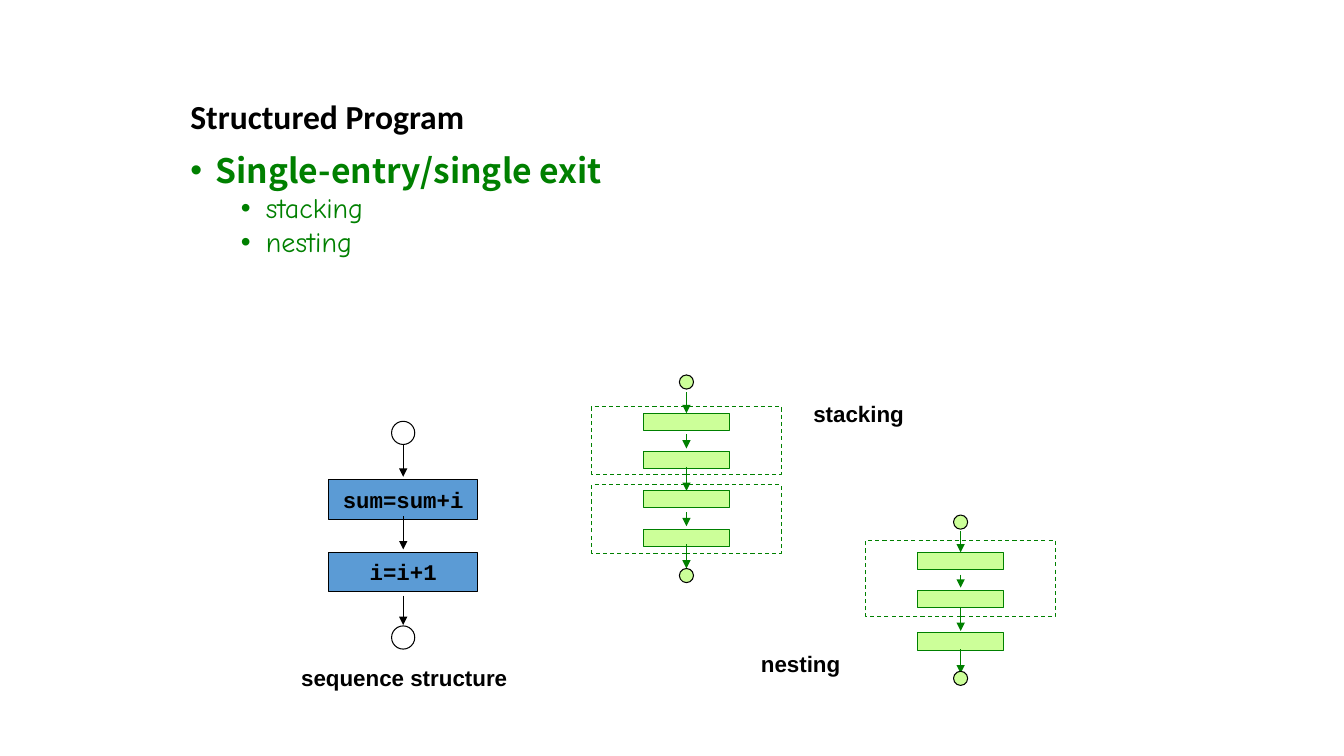
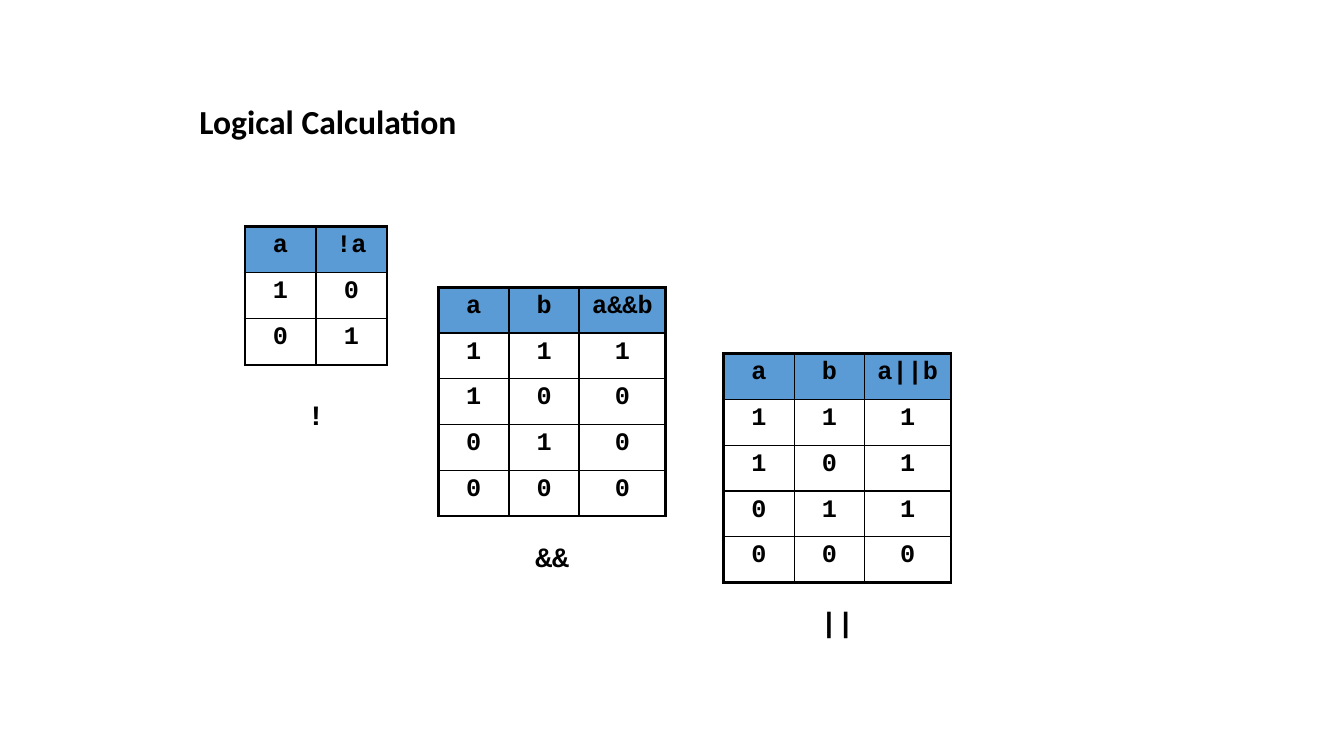
from dataclasses import dataclass

import pptx
import pptx.dml.color
import pptx.enum.dml
import pptx.enum.shapes
import pptx.enum.text
import pptx.oxml.ns
import pptx.util
from lxml import etree

SHAPE = pptx.enum.shapes.MSO_SHAPE
ALIGN = pptx.enum.text.PP_ALIGN
ANCHOR = pptx.enum.text.MSO_ANCHOR
COLUMNS, ROWS = 133.33, 75  # grid of tenths of an inch


@dataclass(frozen=True)
class Face:
    name: str
    size: int
    color: str = "000000"
    bold: bool = True


class Theme:
    black, green, lime, blue = "000000", "008000", "CCFF99", "5B9BD5"
    thin, outer, inner = 0.75, 2.25, 1
    title = Face("Calibri", 24)
    bullet = Face("Noto Sans CJK SC", 24, green)
    sub_bullet = Face("Comic Neue", 20, green, False)
    label = Face("Arial", 16)
    step = Face("Courier New", 16)
    cell = Face("Courier New", 18)
    operator = Face("Courier New", 20)


@dataclass(frozen=True)
class FlowStyle:
    """Size and colours of one kind of flow chart, in grid cells."""
    width: float
    step_width: float
    step_height: float
    dot: float
    line: str
    step_fill: str
    dot_fill: str | None = None


WIDE = FlowStyle(14.8, 14.8, 3.9, 2.3, Theme.black, Theme.blue)
SMALL = FlowStyle(18.8, 8.5, 1.7, 1.4, Theme.green, Theme.lime, Theme.lime)


def grid(*cells):
    return [pptx.util.Inches(cell / 10) for cell in cells]


def rgb(color):
    return pptx.dml.color.RGBColor.from_string(color)


def apply(target, values):
    for name, value in values.items():
        setattr(target, name, value)


def write(para, text, face, **format_values):
    para.text = text
    apply(para, format_values)
    apply(para.font, {"name": face.name, "size": pptx.util.Pt(face.size),
                      "bold": face.bold})
    para.font.color.rgb = rgb(face.color)


def add_text(page, box, text, face, align=ALIGN.LEFT):
    frame = page.shapes.add_textbox(*grid(*box)).text_frame
    frame.word_wrap = True
    write(frame.paragraphs[0], text, face, alignment=align)


def add_bullets(page, box, items):
    """Write (text, level) items as a bulleted list."""
    frame = page.shapes.add_textbox(*grid(*box)).text_frame
    frame.word_wrap = True
    for index, (text, level) in enumerate(items):
        para = frame.add_paragraph() if index else frame.paragraphs[0]
        properties = para._p.get_or_add_pPr()
        hang = pptx.util.Inches(0.25)
        properties.set("marL", str(hang * (1 + 2 * level)))
        properties.set("indent", str(-hang))
        for tag, attribute, value in (("a:buFont", "typeface", "Arial"),
                                      ("a:buChar", "char", "•")):
            etree.SubElement(properties, pptx.oxml.ns.qn(tag)).set(attribute, value)
        write(para, text, Theme.sub_bullet if level else Theme.bullet,
              line_spacing=0.8, space_before=pptx.util.Pt(5 if index else 0))


def add_outline(page, kind, box, line, fill=None, dashed=False):
    shape = page.shapes.add_shape(kind, *grid(*box))
    shape.shadow.inherit = False
    if fill:
        shape.fill.solid()
        shape.fill.fore_color.rgb = rgb(fill)
    else:
        shape.fill.background()
    shape.line.color.rgb = rgb(line)
    shape.line.width = pptx.util.Pt(Theme.thin)
    if dashed:
        shape.line.dash_style = pptx.enum.dml.MSO_LINE.DASH
    return shape


def add_arrow(page, x, start, end, color):
    arrow = page.shapes.add_connector(
        pptx.enum.shapes.MSO_CONNECTOR.STRAIGHT, *grid(x, start, x, end))
    arrow.line.color.rgb = rgb(color)
    arrow.line.width = pptx.util.Pt(Theme.thin)
    qn = pptx.oxml.ns.qn
    etree.SubElement(arrow.line._get_or_add_ln(), qn("a:tailEnd")).set("type", "triangle")
    etree.SubElement(arrow._element.spPr, qn("a:effectLst"))


def add_flow(page, left, top, style, steps, arrows, end, frames=()):
    """Draw a vertical flow; rows in steps, arrows, end and frames count from top."""
    middle = left + style.width / 2
    for row, height in frames:
        add_outline(page, SHAPE.RECTANGLE, (left, top + row, style.width, height),
                    style.line, dashed=True)
    for row, text in steps:
        box = (middle - style.step_width / 2, top + row,
               style.step_width, style.step_height)
        step = add_outline(page, SHAPE.RECTANGLE, box, style.line, style.step_fill)
        if text:
            apply(step.text_frame, {"word_wrap": False,
                                    "vertical_anchor": ANCHOR.MIDDLE})
            write(step.text_frame.paragraphs[0], text, Theme.step,
                  alignment=ALIGN.CENTER)
    for start, finish in arrows:
        add_arrow(page, middle, top + start, top + finish, style.line)
    for row in (0, end):
        add_outline(page, SHAPE.OVAL,
                    (middle - style.dot / 2, top + row, style.dot, style.dot),
                    Theme.black, style.dot_fill)


def set_borders(cell, widths):
    """Draw the left, right, top and bottom border in the given point widths."""
    qn = pptx.oxml.ns.qn
    properties = cell._tc.get_or_add_tcPr()
    for side, width in zip("LRTB", widths):
        line = etree.SubElement(properties, qn(f"a:ln{side}"))
        line.set("w", str(pptx.util.Pt(width)))
        fill = etree.SubElement(line, qn("a:solidFill"))
        etree.SubElement(fill, qn("a:srgbClr")).set("val", Theme.black)


def add_truth_table(page, left, top, widths, row_height, rows, operator, gap):
    """Draw a truth table with its operator centred below, a gap of rows away."""
    width, height = sum(widths), row_height * len(rows)
    table = page.shapes.add_table(len(rows), len(widths),
                                  *grid(left, top, width, height)).table
    apply(table, {"first_row": False, "horz_banding": False})
    for column, cells in zip(table.columns, grid(*widths)):
        column.width = cells
    last_row, last_column = len(rows) - 1, len(widths) - 1
    for r, texts in enumerate(rows):
        for c, text in enumerate(texts):
            cell = table.cell(r, c)
            on_edge = (c == 0, c == last_column, r == 0, r == last_row)
            set_borders(cell, [Theme.outer if edge else Theme.inner
                               for edge in on_edge])
            if r:
                cell.fill.background()
            else:
                cell.fill.solid()
                cell.fill.fore_color.rgb = rgb(Theme.blue)
            write(cell.text_frame.paragraphs[0], text, Theme.cell,
                  alignment=ALIGN.CENTER)
    label_width = 11.1
    add_text(page, (left + (width - label_width) / 2, top + height + gap,
                    label_width, 4.3), operator, Theme.operator, ALIGN.CENTER)


def new_page(deck, title, left, top):
    page = deck.slides.add_slide(deck.slide_layouts[6])
    add_text(page, (left, top, 97.5, 5), title, Theme.title)
    return page


def build_structured_program(deck):
    page = new_page(deck, "Structured Program", 17.9, 9)
    add_bullets(page, (17.9, 15.2, 97.5, 12),
                [("Single-entry/single exit", 0), ("stacking", 1), ("nesting", 1)])
    add_flow(page, 32.6, 41.8, WIDE,
             steps=[(5.8, "sum=sum+i"), (13, "i=i+1")],
             arrows=[(2.3, 5.5), (9.4, 12.7), (17.3, 20.2)], end=20.3)
    add_flow(page, 58.7, 37.2, SMALL,
             steps=[(row, "") for row in (3.8, 7.6, 11.5, 15.3)],
             arrows=[(1.7, 3.8), (5.9, 7.3), (9.1, 11.5), (13.6, 15), (16.8, 19.2)],
             end=19.2, frames=[(3.1, 6.8), (10.9, 6.8)])
    add_flow(page, 85.9, 51.1, SMALL,
             steps=[(row, "") for row in (3.7, 7.5, 11.7)],
             arrows=[(1.6, 3.7), (5.9, 7.2), (9.1, 11.5), (13.3, 15.7)],
             end=15.5, frames=[(2.5, 7.6)])
    add_text(page, (27.9, 65.4, 24.4, 3.7), "sequence structure", Theme.label,
             ALIGN.CENTER)
    for left, top, text in ((79.7, 39.2, "stacking"), (74.5, 64, "nesting")):
        add_text(page, (left, top, 13.2, 3.7), text, Theme.label)


def build_logical_calculation(deck):
    page = new_page(deck, "Logical Calculation", 18.8, 9.5)
    add_truth_table(page, 24.3, 22.5, (7.05, 7.05), 4.57, ["a !a".split(), "10", "01"],
                    "!", 2.7)
    inputs = ("11", "10", "01", "00")
    for left, top, operator, results, gap in ((43.5, 28.5, "&&", "1000", 1.8),
                                              (71.8, 35.1, "||", "1110", 1.7)):
        rows = [("a", "b", f"a{operator}b")]
        rows += [(*pair, result) for pair, result in zip(inputs, results)]
        add_truth_table(page, left, top, (7, 6.95, 8.6), 4.54, rows, operator, gap)


def main():
    deck = pptx.Presentation()
    deck.slide_width, deck.slide_height = grid(COLUMNS, ROWS)
    build_structured_program(deck)
    build_logical_calculation(deck)
    deck.save("out.pptx")


if __name__ == "__main__":
    main()
